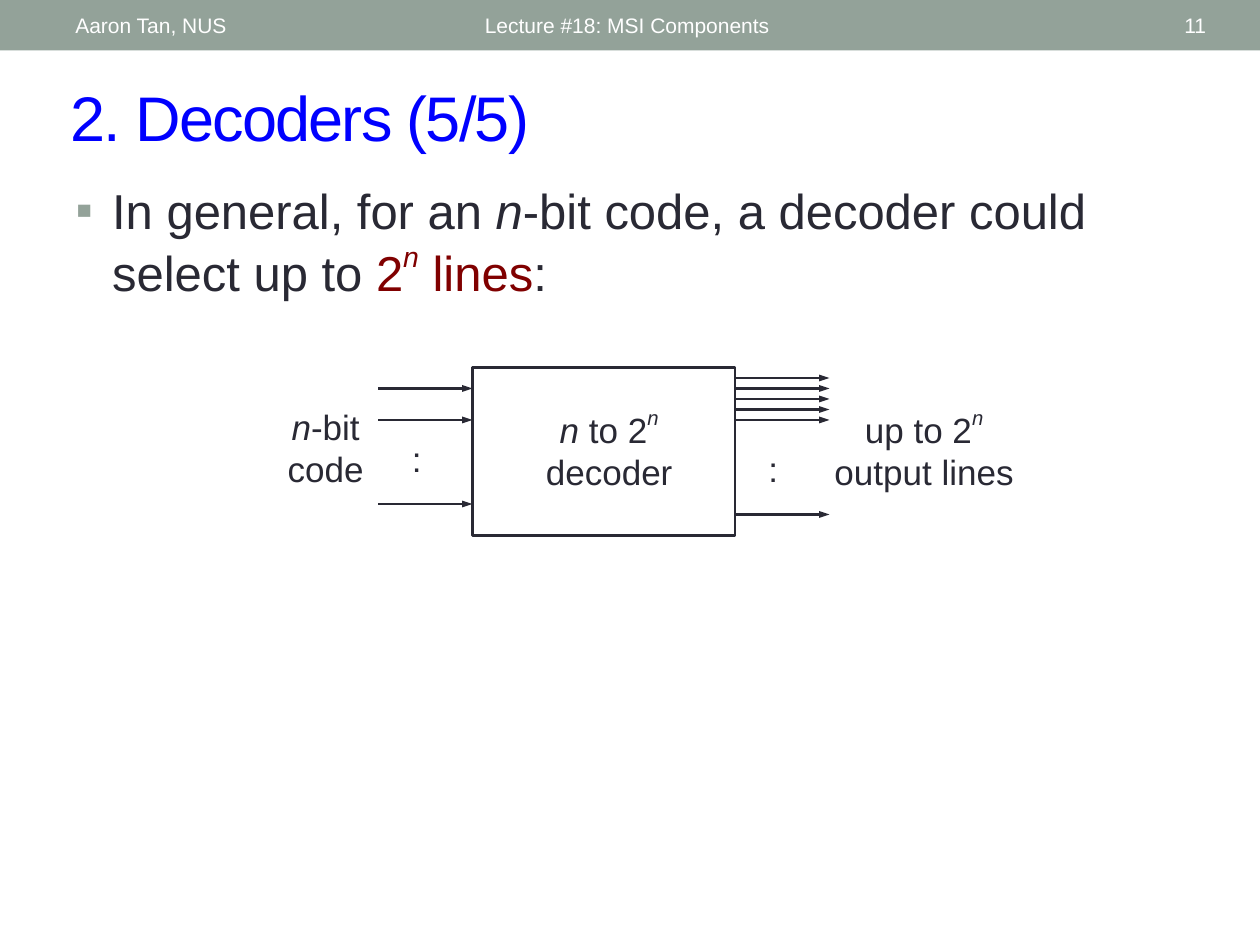
from dataclasses import dataclass

from lxml import etree
from pptx import Presentation
from pptx.dml.color import RGBColor
from pptx.enum import shapes, text
from pptx.oxml.ns import qn
from pptx.util import Inches, Pt

ALIGN = text.PP_ALIGN
ANCHOR = text.MSO_ANCHOR


@dataclass(frozen=True)
class Theme:
    font: str = "Arial"
    ink: str = "292934"
    accent: str = "93A299"
    title: str = "0000FF"
    emphasis: str = "800000"
    light: str = "FFFFFF"
    header_size: int = 12
    title_size: int = 36
    body_size: int = 28
    label_size: int = 20


@dataclass(frozen=True)
class Span:
    text: str
    italic: bool = False
    raised: bool = False
    color: str | None = None


@dataclass(frozen=True)
class Label:
    left: float
    top: float
    width: float
    height: float
    lines: tuple[tuple[Span, ...], ...]
    align: ALIGN = ALIGN.CENTER


@dataclass(frozen=True)
class Arrows:
    start: float
    end: float
    heights: tuple[float, ...]


THEME = Theme()
CODE_LETTER = Span("n", italic=True)
EXPONENT = Span("n", italic=True, raised=True)

HEADER_TOP, HEADER_HEIGHT = 0.02, 0.36
HEADERS = (
    Label(0.5, HEADER_TOP, 3.17, HEADER_HEIGHT, ((Span("Aaron Tan, NUS"),),), ALIGN.LEFT),
    Label(3.75, HEADER_TOP, 4.5, HEADER_HEIGHT,
          ((Span("Lecture #18: MSI Components"),),), ALIGN.LEFT),
    Label(8.72, HEADER_TOP, 0.95, HEADER_HEIGHT, ((Span("11"),),), ALIGN.RIGHT),
)

# The diagram sits on a grid of twelfths of an inch.
STEP = 1 / 12
BOX_LEFT, BOX_TOP, BOX_WIDTH, BOX_HEIGHT = 3.75, 35 * STEP, 25 * STEP, 16 * STEP
BOX_RIGHT = BOX_LEFT + BOX_WIDTH
ARROW_LENGTH = 0.75
INPUTS = Arrows(BOX_LEFT - ARROW_LENGTH, BOX_LEFT, (37 * STEP, 40 * STEP, 4))
OUTPUTS = Arrows(BOX_RIGHT, BOX_RIGHT + ARROW_LENGTH,
                 tuple(3 + row * STEP for row in range(5)) + (49 * STEP,))

LABEL_TOP, LABEL_HEIGHT = 3.17, 0.77
COLON = ((Span(":"),),)
LABELS = (
    Label(3.17, 3.42, 0.33, 0.43, COLON, ALIGN.LEFT),
    Label(6, 3.5, 0.33, 0.43, COLON, ALIGN.LEFT),
    Label(2, LABEL_TOP, 1.17, LABEL_HEIGHT,
          ((CODE_LETTER, Span("-bit")), (Span("code"),))),
    Label(4, LABEL_TOP, 1.67, LABEL_HEIGHT,
          ((CODE_LETTER, Span(" to 2"), EXPONENT), (Span("decoder"),))),
    Label(6.5, LABEL_TOP, 1.67, LABEL_HEIGHT,
          ((Span("up to 2"), EXPONENT), (Span("output lines"),))),
)

STATEMENT = (
    Span("In general, for an "), CODE_LETTER,
    Span("-bit code, a decoder could select up to "),
    Span("2", color=THEME.emphasis),
    Span("n", italic=True, raised=True, color=THEME.emphasis),
    Span(" lines", color=THEME.emphasis), Span(":"),
)


def rgb(color: str) -> RGBColor:
    return RGBColor.from_string(color)


def place(shape, left: float, top: float, width: float, height: float) -> None:
    shape.left, shape.top = Inches(left), Inches(top)
    shape.width, shape.height = Inches(width), Inches(height)


def add_spans(para, spans: tuple[Span, ...], size: int, color: str) -> None:
    for span in spans:
        run = para.add_run()
        run.text = span.text
        font = run.font
        font.name, font.size, font.italic = THEME.font, Pt(size), span.italic
        font.color.rgb = rgb(span.color or color)
        if span.raised:
            run._r.get_or_add_rPr().set("baseline", "50000")


def add_label(slide, label: Label, size: int, color: str, anchor: ANCHOR,
              fit: text.MSO_AUTO_SIZE):
    box = slide.shapes.add_textbox(Inches(label.left), Inches(label.top),
                                   Inches(label.width), Inches(label.height))
    frame = box.text_frame
    frame.word_wrap = True
    frame.auto_size = fit
    frame.vertical_anchor = anchor
    for index, spans in enumerate(label.lines):
        para = frame.add_paragraph() if index else frame.paragraphs[0]
        para.alignment = label.align
        add_spans(para, spans, size, color)


def add_arrows(slide, arrows: Arrows) -> None:
    for height in arrows.heights:
        arrow = slide.shapes.add_connector(
            shapes.MSO_CONNECTOR.STRAIGHT, Inches(arrows.start), Inches(height),
            Inches(arrows.end), Inches(height))
        arrow.line.color.rgb = rgb(THEME.ink)
        arrow.line.width = Pt(1.25)
        etree.SubElement(arrow.line._get_or_add_ln(), qn("a:tailEnd"),
                         type="triangle", w="sm", len="med")
        etree.SubElement(arrow._element.spPr, qn("a:effectLst"))


def add_rectangle(slide, left: float, top: float, width: float, height: float):
    box = slide.shapes.add_shape(shapes.MSO_SHAPE.RECTANGLE, Inches(left), Inches(top),
                                 Inches(width), Inches(height))
    box.shadow.inherit = False
    return box


def add_header(slide) -> None:
    band = add_rectangle(slide, 0, 0, 10, 0.4)
    band.fill.solid()
    band.fill.fore_color.rgb = rgb(THEME.accent)
    band.line.fill.background()
    for label in HEADERS:
        add_label(slide, label, THEME.header_size, THEME.light, ANCHOR.MIDDLE,
                  text.MSO_AUTO_SIZE.NONE)


def fill_title(title) -> None:
    place(title, 0.46, 0.57, 9.39, 0.7)
    frame = title.text_frame
    frame.auto_size = text.MSO_AUTO_SIZE.NONE
    frame.vertical_anchor = ANCHOR.MIDDLE
    para = frame.paragraphs[0]
    para.alignment = ALIGN.LEFT
    add_spans(para, (Span("2. Decoders (5/5)"),), THEME.title_size, THEME.title)
    para.runs[0]._r.get_or_add_rPr().set("spc", "-100")


def fill_body(body) -> None:
    place(body, 0.5, 1.38, 9, 1.12)
    body.text_frame.auto_size = text.MSO_AUTO_SIZE.NONE
    para = body.text_frame.paragraphs[0]
    para.space_before = Pt(0)
    properties = para._p.get_or_add_pPr()
    properties.set("marL", str(Inches(0.29)))
    properties.set("indent", str(-Inches(0.29)))
    bullet_color = etree.SubElement(properties, qn("a:buClr"))
    etree.SubElement(bullet_color, qn("a:srgbClr"), val=THEME.accent)
    etree.SubElement(properties, qn("a:buFont"), typeface=THEME.font)
    etree.SubElement(properties, qn("a:buChar"), char="▪")
    add_spans(para, STATEMENT, THEME.body_size, THEME.ink)


def add_diagram(slide) -> None:
    decoder = add_rectangle(slide, BOX_LEFT, BOX_TOP, BOX_WIDTH, BOX_HEIGHT)
    decoder.fill.background()
    decoder.line.color.rgb = rgb(THEME.ink)
    decoder.line.width = Pt(1.5)
    for arrows in (INPUTS, OUTPUTS):
        add_arrows(slide, arrows)
    for label in LABELS:
        add_label(slide, label, THEME.label_size, THEME.ink, ANCHOR.TOP,
                  text.MSO_AUTO_SIZE.SHAPE_TO_FIT_TEXT)


def main() -> None:
    deck = Presentation()
    deck.slide_width, deck.slide_height = Inches(10), Inches(7.5)
    slide = deck.slides.add_slide(deck.slide_layouts.get_by_name("Title and Content"))
    add_header(slide)
    fill_title(slide.shapes.title)
    fill_body(slide.placeholders[1])
    add_diagram(slide)
    deck.save("out.pptx")


if __name__ == "__main__":
    main()
